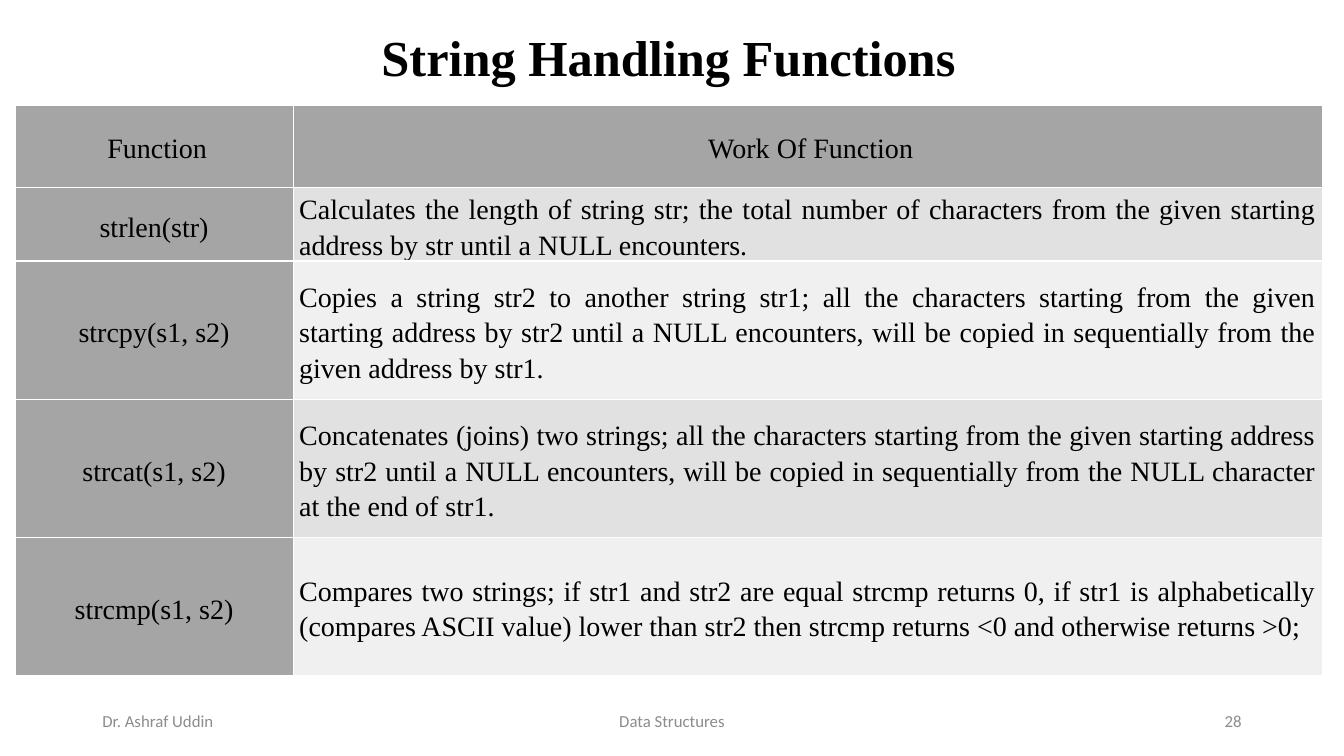
import pptx
import pptx.util
import pptx.dml.color
import pptx.enum.text
import pptx.oxml
import pptx.oxml.ns

HUES = {"ink": "000000", "head": "A5A5A5", "odd": "E1E1E1",
        "even": "F0F0F0", "rule": "FFFFFF", "foot": "8C8C8C"}
SERIF, SANS = "Times New Roman", "Calibri"
ALIGN = pptx.enum.text.PP_ALIGN
MID = pptx.enum.text.MSO_ANCHOR.MIDDLE
COLS, ROWS = 160, 90  # grid of the whole slide


class Deck:
    def __init__(self):
        self.show = pptx.Presentation()
        self.show.slide_width = pptx.util.Inches(13.33)
        self.show.slide_height = pptx.util.Inches(7.5)
        self.slide = self.show.slides.add_slide(self.show.slide_layouts[5])

    def wide(self, cols):
        return int(self.show.slide_width * cols / COLS)

    def high(self, rows):
        return int(self.show.slide_height * rows / ROWS)

    def box(self, x, y, w, h):
        return self.wide(x), self.high(y), self.wide(w), self.high(h)

    def words(self, frame, text, size, face, hue, align, space=1.0, bold=False):
        frame.word_wrap = True
        para = frame.paragraphs[0]
        para.alignment, para.line_spacing = align, space
        run = para.add_run()
        run.text = text
        font = run.font
        font.size, font.name, font.bold = pptx.util.Pt(size), face, bold
        font.color.rgb = pptx.dml.color.RGBColor.from_string(HUES[hue])

    def title(self, text, *place):
        shape = self.slide.shapes.title
        shape.left, shape.top, shape.width, shape.height = self.box(*place)
        shape.text_frame.vertical_anchor = MID
        self.words(shape.text_frame, text, 36, SERIF, "ink", ALIGN.CENTER, 0.9, True)

    def label(self, text, align, *place):
        frame = self.slide.shapes.add_textbox(*self.box(*place)).text_frame
        frame.vertical_anchor = MID
        self.words(frame, text, 12, SANS, "foot", align)

    def cell(self, cell, text, hue, align, edges):
        inset = [pptx.util.Inches(inch) for inch in edges]
        cell.margin_left, cell.margin_top, cell.margin_right, cell.margin_bottom = inset
        cell.vertical_anchor = MID
        self.words(cell.text_frame, text, 20, SERIF, "ink", align, 1.15)
        props = cell._tc.get_or_add_tcPr()
        for side in "LRTB":
            props.append(pptx.oxml.parse_xml(
                f'<a:ln{side} {pptx.oxml.ns.nsdecls("a")} w="12700"><a:solidFill>'
                f'<a:srgbClr val="{HUES["rule"]}"/></a:solidFill></a:ln{side}>'))
        cell.fill.solid()
        cell.fill.fore_color.rgb = pptx.dml.color.RGBColor.from_string(HUES[hue])

    def table(self, data, x, y, cols, rows):
        place = self.box(x, y, sum(cols), sum(rows))
        grid = self.slide.shapes.add_table(len(rows), len(cols), *place).table
        for col, w in zip(grid.columns, cols):
            col.width = self.wide(w)
        for row, h in zip(grid.rows, rows):
            row.height = self.high(h)
        for r, line in enumerate(data):
            edges = (0.06, 0.02, 0.06, 0) if r else (0.06, 0.03, 0, 0.02)
            for c, text in enumerate(line):
                body = r > 0 and c > 0
                hue = ("odd" if r % 2 else "even") if body else "head"
                align = ALIGN.JUSTIFY if body else ALIGN.CENTER
                self.cell(grid.cell(r, c), text, hue, align, edges)


deck = Deck()

# Title
deck.title("String Handling Functions", 1.8, 1.8, 155.6, 10.7)

# Table of functions
WORK = [
    ("Function", "Work Of Function"),
    ("strlen(str)",
     "Calculates the length of string str; the total number of characters from "
     "the given starting address by str until a NULL encounters."),
    ("strcpy(s1, s2)",
     "Copies a string str2 to another string str1; all the characters starting "
     "from the given starting address by str2 until a NULL encounters, will be "
     "copied in sequentially from the given address by str1."),
    ("strcat(s1, s2)",
     "Concatenates (joins) two strings; all the characters starting from the "
     "given starting address by str2 until a NULL encounters, will be copied in "
     "sequentially from the NULL character at the end of str1."),
    ("strcmp(s1, s2)",
     "Compares two strings; if str1 and str2 are equal strcmp returns 0, if str1 "
     "is alphabetically (compares ASCII value) lower than str2 then strcmp "
     "returns <0 and otherwise returns >0;"),
]
deck.table(WORK, 1.8, 12.5, [33.1, 122.5], [9.84, 8.7] + [16.44] * 3)

# Footer
for text, align, x, w in [("Dr. Ashraf Uddin", ALIGN.LEFT, 11, 36),
                          ("Data Structures", ALIGN.CENTER, 53, 54),
                          ("28", ALIGN.RIGHT, 113, 36)]:
    deck.label(text, align, x, 83.4, w, 4.8)

deck.show.save("out.pptx")
